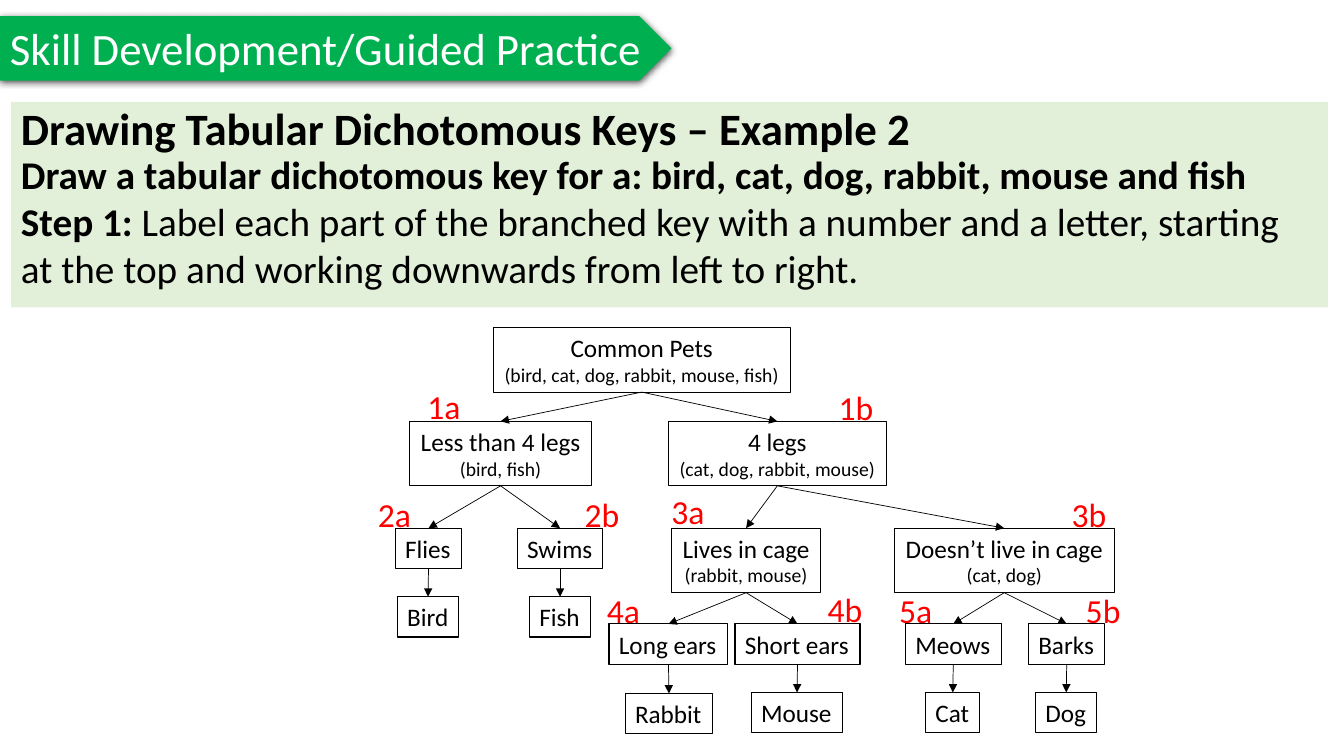
"""Build a slide on labelling a branched key of common pets."""
from lxml import etree
from pptx import Presentation
from pptx.dml.color import RGBColor
from pptx.enum.shapes import MSO_CONNECTOR as CONNECTOR, MSO_SHAPE as SHAPE
from pptx.enum.text import MSO_ANCHOR as ANCHOR, MSO_AUTO_SIZE as AUTO_SIZE, PP_ALIGN as ALIGN
from pptx.oxml.ns import qn
from pptx.util import Pt

PX = 9144
FONT = "Calibri"


def color(value):
    return RGBColor.from_string(value)


def add_box(kind, left, top, width, height, lines, align=ALIGN.LEFT, ink="000000", wrap=False):
    shape = slide.shapes.add_shape(kind, left * PX, top * PX, width * PX, height * PX)
    shape.shadow.inherit = False
    shape.fill.background()
    shape.line.fill.background()
    frame = shape.text_frame
    frame.word_wrap = wrap
    frame.auto_size = AUTO_SIZE.NONE if wrap else AUTO_SIZE.SHAPE_TO_FIT_TEXT
    frame.vertical_anchor = ANCHOR.TOP
    frame.text = "\n".join(text for text, size in lines)
    for paragraph, (text, size) in zip(frame.paragraphs, lines):
        paragraph.alignment = align
        for run in paragraph.runs:
            run.font.name = FONT
            run.font.size = Pt(size)
            run.font.color.rgb = color(ink)
    return shape


presentation = Presentation()
presentation.slide_width = 1333 * PX
presentation.slide_height = 750 * PX
slide = presentation.slides.add_slide(presentation.slide_layouts[6])

banner = add_box(SHAPE.PENTAGON, 0, 16, 666, 64,
                 [("Skill Development/Guided Practice", 32)], ink="FFFFFF")
banner.fill.solid()
banner.fill.fore_color.rgb = color("00B050")
effects = banner._element.spPr.find(qn("a:effectLst"))
shadow = etree.SubElement(effects, qn("a:outerShdw"), blurRad="57150", dist="19050",
                          dir="5400000", algn="ctr", rotWithShape="0")
shadow_color = etree.SubElement(shadow, qn("a:srgbClr"), val="000000")
etree.SubElement(shadow_color, qn("a:alpha"), val="63000")

task = add_box(SHAPE.RECTANGLE, 11, 101, 1306, 204, [
    ("Drawing Tabular Dichotomous Keys – Example 2", 32),
    ("Draw a tabular dichotomous key for a: bird, cat, dog, rabbit, mouse and fish", 28),
    ("Step 1:", 28),
], wrap=True)
task.fill.solid()
task.fill.fore_color.rgb = color("E2F0D9")
task.text_frame.margin_right = 15 * PX
title, goal, step = task.text_frame.paragraphs
title.line_spacing = goal.line_spacing = 0.9
step.space_after = Pt(12)
for paragraph in (title, goal, step):
    paragraph.runs[0].font.bold = True
instruction = step.add_run()
instruction.text = (" Label each part of the branched key with a number and a letter, "
                    "starting at the top and working downwards from left to right.")
instruction.font.name = FONT
instruction.font.size = Pt(28)
instruction.font.bold = False
instruction.font.color.rgb = color("000000")

labels = [
    ("1a", 414, 378), ("1b", 822, 379), ("2a", 365, 485), ("2b", 570, 485),
    ("3a", 656, 482), ("3b", 1053, 485), ("4a", 592, 580), ("4b", 811, 579),
    ("5a", 882, 580), ("5b", 1067, 580),
]
for text, left, top in labels:
    width = 53 if text.endswith("a") else 55
    add_box(SHAPE.RECTANGLE, left, top, width, 50, [(text, 24)], ink="FF0000")

nodes = [
    ("Common Pets", "(bird, cat, dog, rabbit, mouse, fish)", None, 489, 325, 295),
    ("Less than 4 legs", "(bird, fish)", "Common Pets", 406, 418, 181),
    ("4 legs", "(cat, dog, rabbit, mouse)", "Common Pets", 663, 418, 216),
    ("Flies", "", "Less than 4 legs", 392, 524, 66),
    ("Swims", "", "Less than 4 legs", 513, 524, 85),
    ("Bird", "", "Flies", 394, 592, 61),
    ("Fish", "", "Swims", 525, 592, 61),
    ("Lives in cage", "(rabbit, mouse)", "4 legs", 666, 524, 148),
    ("Doesn’t live in cage", "(cat, dog)", "4 legs", 887, 524, 218),
    ("Long ears", "", "Lives in cage", 604, 619, 118),
    ("Short ears", "", "Lives in cage", 729, 619, 124),
    ("Meows", "", "Doesn’t live in cage", 898, 619, 95),
    ("Barks", "", "Doesn’t live in cage", 1020, 619, 76),
    ("Rabbit", "", "Long ears", 620, 688, 87),
    ("Mouse", "", "Short ears", 745, 687, 91),
    ("Cat", "", "Meows", 918, 687, 54),
    ("Dog", "", "Barks", 1027, 687, 61),
]
boxes = {}
for name, members, parent, left, top, width in nodes:
    lines = [(name, 18), (members, 14)] if members else [(name, 18)]
    height = 64 if members else 40
    align = ALIGN.CENTER if members else ALIGN.LEFT
    box = add_box(SHAPE.RECTANGLE, left, top, width, height, lines, align)
    box.line.color.rgb = color("000000")
    box.line.width = Pt(0.75)
    boxes[name] = box
    if parent:
        arrow = slide.shapes.add_connector(CONNECTOR.STRAIGHT, 0, 0, 0, 0)
        arrow.begin_connect(boxes[parent], 2)
        arrow.end_connect(box, 0)
        arrow.line.color.rgb = color("000000")
        arrow.line.width = Pt(0.5)
        etree.SubElement(arrow.line._get_or_add_ln(), qn("a:tailEnd"), type="triangle")
        etree.SubElement(arrow._element.spPr, qn("a:effectLst"))

presentation.save("out.pptx")
